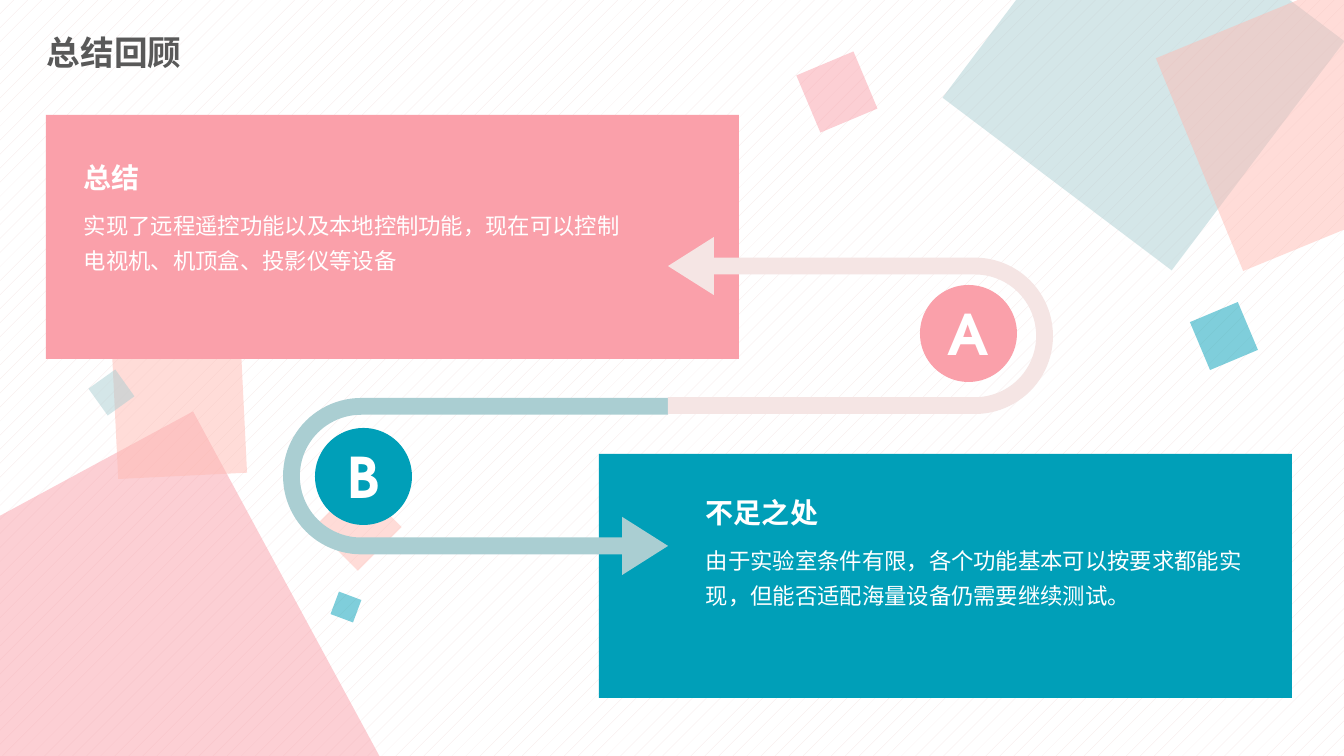
from lxml.etree import SubElement
from pptx import Presentation
from pptx.dml.color import RGBColor
from pptx.enum.dml import MSO_PATTERN
from pptx.enum.shapes import MSO_SHAPE as SHAPE
from pptx.enum.text import MSO_ANCHOR as ANCHOR, MSO_AUTO_SIZE as AUTO_SIZE, PP_ALIGN as ALIGN
from pptx.oxml.ns import qn
from pptx.util import Pt

EMU_PER_PX = 914400 / 100.8
COLORS = {"pink": "FAA0AA", "peach": "FFBBB3", "mist": "AACED2", "teal": "009FB8",
          "blush": "F5E5E4", "white": "FFFFFF", "gray": "595959"}
CJK, LATIN = "Noto Sans CJK SC", "TeX Gyre Adventor"


def px(length):
    return round(length * EMU_PER_PX)


def rgb(name):
    return RGBColor.from_string(COLORS[name])


class SlideBuilder:
    def __init__(self, deck):
        self.page = deck.slides.add_slide(deck.slide_layouts[6])

    def background(self, fore, back):
        fill = self.page.background.fill
        fill.patterned()
        fill.pattern = MSO_PATTERN.PERCENT_5
        fill.fore_color.rgb, fill.back_color.rgb = rgb(fore), rgb(back)

    def shape(self, kind, left, top, width, height, color, rotation=0):
        shape = self.page.shapes.add_shape(kind, px(left), px(top), px(width), px(height))
        shape.shadow.inherit = False
        shape.fill.solid()
        shape.fill.fore_color.rgb = rgb(color)
        shape.line.fill.background()
        shape.rotation = rotation
        return shape

    def square(self, left, top, side, rotation, color):
        shape = self.shape(SHAPE.RECTANGLE, left, top, side, side, color, rotation)
        tint = shape.element.spPr.find(qn("a:solidFill"))[0]
        SubElement(tint, qn("a:alpha")).set("val", "50000")

    def card(self, left, top, color):
        self.shape(SHAPE.RECTANGLE, left, top, 693, 244, color)

    def u_turn(self, left, top, rotation, color):
        arrow = self.shape(SHAPE.U_TURN_ARROW, left, top, 177, 385, color, rotation)
        arrow.element.spPr.get_or_add_xfrm().set("flipH", "1")
        for index, value in enumerate((0.095, 0.164, 0.259, 0.441, 1)):
            arrow.adjustments[index] = value

    def fill_text(self, frame, text, size, font, color="white", bold=False):
        frame.text = text
        para = frame.paragraphs[0]
        span = para.runs[0]
        span.font.size, span.font.bold = Pt(size), bold
        span.font.color.rgb = rgb(color)
        span.font.name = font
        SubElement(span.font._element, qn("a:ea")).set("typeface", CJK)
        return para

    def badge(self, left, top, letter, color):
        circle = self.shape(SHAPE.OVAL, left, top, 97, 97, color)
        frame = circle.text_frame
        frame.vertical_anchor = ANCHOR.MIDDLE
        self.fill_text(frame, letter, 40, LATIN, bold=True).alignment = ALIGN.CENTER

    def text(self, left, top, width, height, text, size, font, spacing=1.3,
             color="white", bold=False, anchor=ANCHOR.TOP, fit=AUTO_SIZE.SHAPE_TO_FIT_TEXT):
        box = self.page.shapes.add_textbox(px(left), px(top), px(width), px(height))
        frame = box.text_frame
        frame.word_wrap = True
        frame.auto_size = fit
        frame.vertical_anchor = anchor
        self.fill_text(frame, text, size, font, color, bold).line_spacing = spacing


def main():
    deck = Presentation()
    deck.slide_width, deck.slide_height = px(1344), px(756)
    slide = SlideBuilder(deck)
    slide.background("blush", "white")

    # Scattered translucent squares: left, top, side, rotation, color
    for square in (
        (-94, 484, 409, 331.6, "pink"),
        (115, 347, 129, 357.2, "peach"),
        (327, 496, 62, 315, "peach"),
        (95, 376, 33, 324.4, "mist"),
        (1000, -74, 287, 37, "mist"),
        (1191, 6, 230, 337.7, "peach"),
        (806, 61, 62, 337.2, "pink"),
        (1198, 310, 52, 337.2, "teal"),
        (334, 595, 24, 290.5, "teal"),
    ):
        slide.square(*square)

    # Title
    slide.text(37, 26, 618, 58, "总结回顾", 24, CJK, 0.9, "gray", True,
               ANCHOR.MIDDLE, AUTO_SIZE.NONE)

    # Cards with the arrows that turn into them
    slide.card(599, 454, "teal")
    slide.u_turn(387, 294, 270, "mist")
    slide.card(46, 115, "pink")
    slide.u_turn(772, 133, 90, "blush")

    # Letter badges
    slide.badge(920, 285, "A", "pink")
    slide.badge(315, 428, "B", "teal")

    # Card headings and bodies
    for left, top, width, heading, body in (
        (74, 145, 84, "总结",
         "实现了远程遥控功能以及本地控制功能，现在可以控制电视机、机顶盒、投影仪等设备"),
        (696, 480, 318, "不足之处",
         "由于实验室条件有限，各个功能基本可以按要求都能实现，但能否适配海量设备仍需要继续测试。"),
    ):
        slide.text(left, top + 54, 565, 81, body, 16, CJK)
        slide.text(left, top, width, 52, heading, 20, LATIN, bold=True)

    deck.save("out.pptx")


if __name__ == "__main__":
    main()
